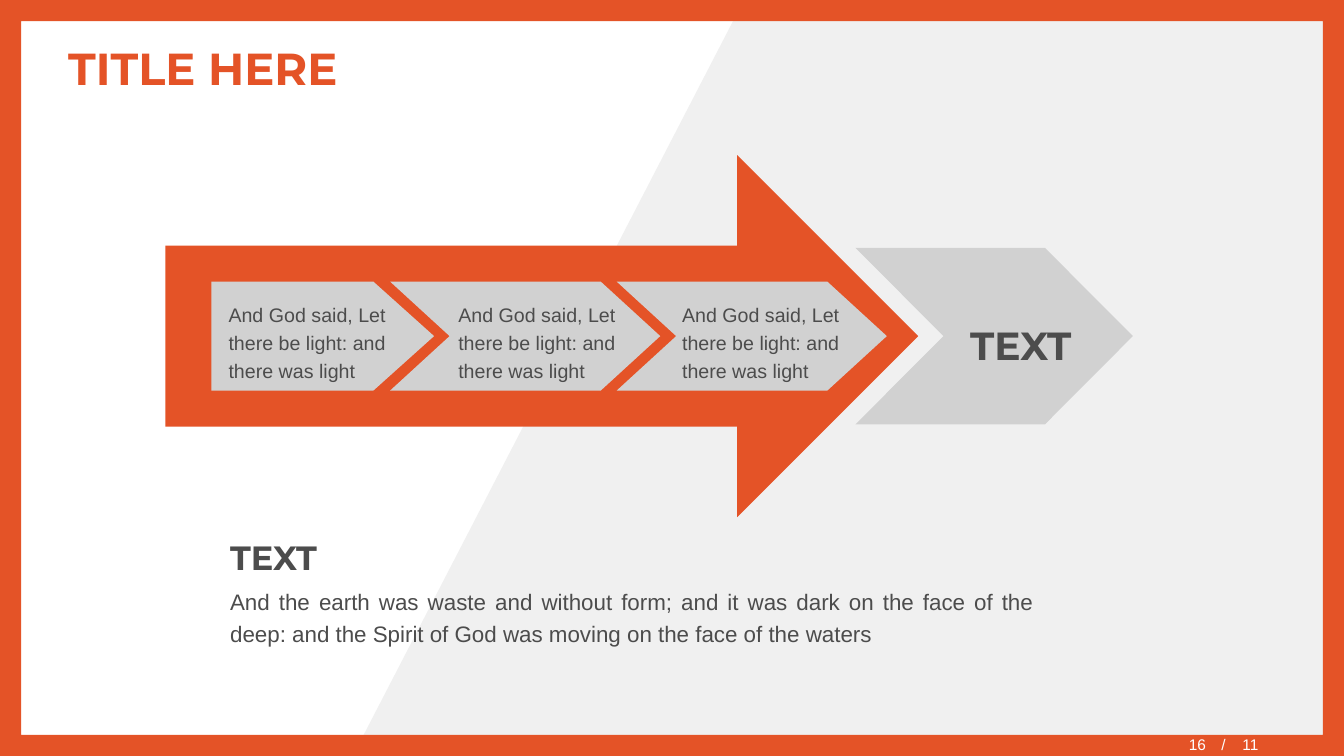
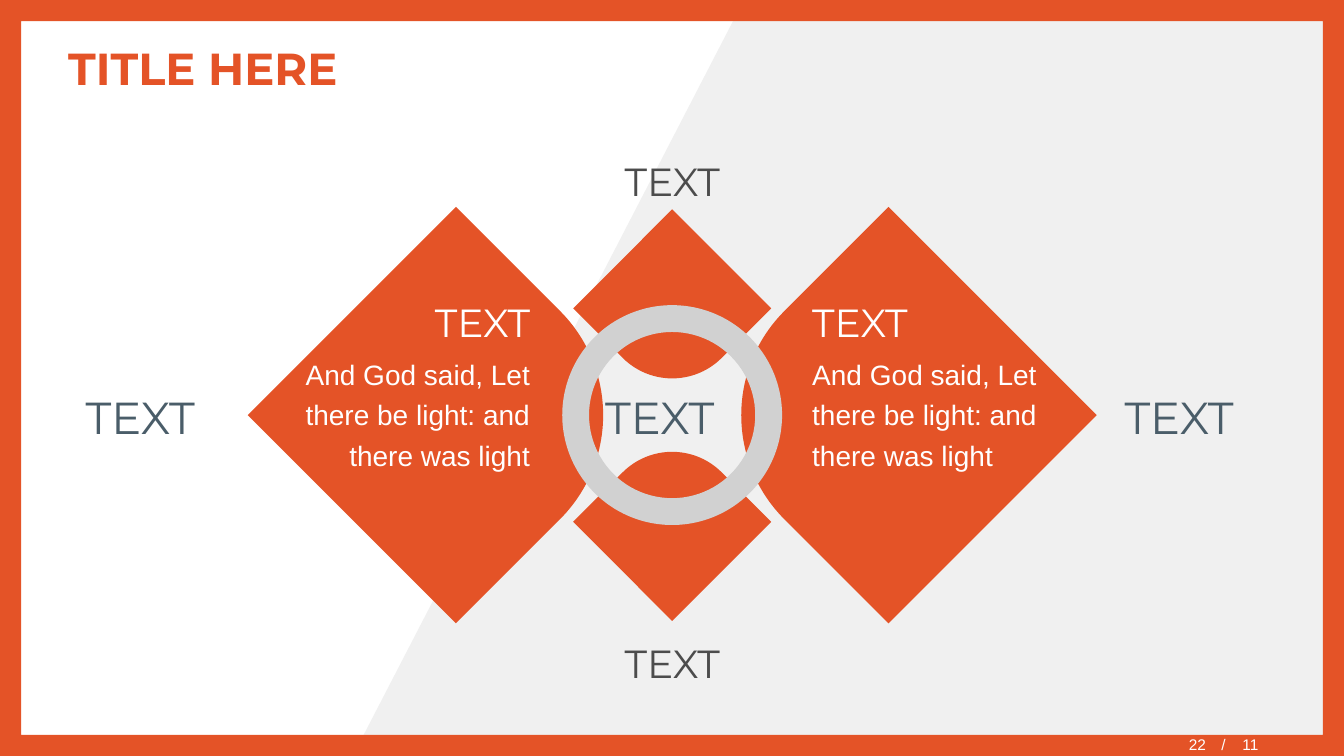
from dataclasses import dataclass

from lxml.etree import SubElement
from pptx import Presentation
from pptx.dml.color import RGBColor
from pptx.enum.shapes import MSO_SHAPE
from pptx.enum.text import MSO_ANCHOR, PP_ALIGN
from pptx.oxml.ns import qn
from pptx.util import Cm, Pt


@dataclass(frozen=True)
class Theme:
    # Colours
    orange: str = "E45327"
    pale: str = "F0F0F0"
    silver: str = "D1D1D1"
    dark: str = "4C4C4C"
    slate: str = "4A5D69"
    white: str = "FFFFFF"
    # Fonts
    display: str = "Montserrat"
    body: str = "Arial"
    # Type sizes in points
    title: int = 32
    label: int = 28
    heading: int = 24
    large: int = 20
    medium: int = 16
    small: int = 14
    footer: int = 11


THEME = Theme()
WIDTH, HEIGHT = 33.87, 19.05
VERSE = "And God said, Let there be light: and there was light"


@dataclass(frozen=True)
class Style:
    size: int
    color: str
    font: str = THEME.display
    bold: bool = False
    align: PP_ALIGN = PP_ALIGN.LEFT


# Elements
def paint(shape, color):
    shape.shadow.inherit = False
    shape.fill.solid()
    shape.fill.fore_color.rgb = RGBColor.from_string(color)
    shape.line.fill.background()


def add_figure(page, kind, left, top, width, height, color, adjust=None, turn=0):
    shape = page.shapes.add_shape(kind, Cm(left), Cm(top), Cm(width), Cm(height))
    paint(shape, color)
    if adjust is not None:
        shape.adjustments[0] = adjust
    shape.rotation = turn
    return shape


def add_square(page, kind, center_x, center_y, side, color, adjust, turn=0):
    return add_figure(page, kind, center_x - side / 2, center_y - side / 2,
                      side, side, color, adjust, turn)


def add_span(para, text, style):
    span = para.add_run()
    span.text = text
    span.font.name = style.font
    span.font.size = Pt(style.size)
    span.font.bold = style.bold
    span.font.color.rgb = RGBColor.from_string(style.color)


def add_box(page, left, top, width, height):
    box = page.shapes.add_textbox(Cm(left), Cm(top), Cm(width), Cm(height))
    box.text_frame.word_wrap = True
    return box


def add_text(page, left, top, width, height, *lines):
    """Each line is a pair of text and style, one paragraph each."""
    frame = add_box(page, left, top, width, height).text_frame
    for index, (text, style) in enumerate(lines):
        para = frame.add_paragraph() if index else frame.paragraphs[0]
        para.alignment = style.align
        para.line_spacing = 1.2
        para.space_before = Pt(2 if index else 0)
        para.space_after = Pt(2)
        add_span(para, text, style)


# Shared page parts
def add_backdrop(page):
    builder = page.shapes.build_freeform(Cm(18.75), 0)
    builder.add_line_segments([(Cm(WIDTH), 0), (Cm(WIDTH), Cm(HEIGHT)),
                               (Cm(8.89), Cm(HEIGHT))])
    paint(builder.convert_to_shape(), THEME.pale)
    add_figure(page, MSO_SHAPE.FRAME, 0, 0, WIDTH, HEIGHT, THEME.orange, 0.028)


def add_title(page, text):
    frame = add_box(page, 1.47, 0.71, 30.94, 2).text_frame
    frame.vertical_anchor = MSO_ANCHOR.MIDDLE
    add_span(frame.paragraphs[0], text,
             Style(THEME.title, THEME.orange, bold=True))


def add_page_number(page, number):
    frame = add_box(page, 29.96, 18.54, 3, 0.46).text_frame
    frame.margin_left = frame.margin_right = 0
    frame.margin_top = frame.margin_bottom = 0
    frame.vertical_anchor = MSO_ANCHOR.MIDDLE
    para = frame.paragraphs[0]
    tabs = SubElement(para._p.get_or_add_pPr(), qn("a:tabLst"))
    for stop in (0.82, 1.35):
        SubElement(tabs, qn("a:tab"), pos=str(Cm(stop)), algn="l")
    add_span(para, f"{number}\t/\t11",
             Style(THEME.footer, THEME.white, THEME.body))


def add_page(deck, title, number):
    page = deck.slides.add_slide(deck.slide_layouts[6])
    add_backdrop(page)
    add_title(page, title)
    add_page_number(page, number)
    return page


# Slides
def build_arrow_page(deck):
    page = add_page(deck, "TITLE HERE", 16)
    middle = 8.47

    def add_band(kind, left, width, height, color, adjust):
        add_figure(page, kind, left, middle - height / 2, width, height,
                   color, adjust)

    # Large arrow with three steps
    add_band(MSO_SHAPE.RIGHT_ARROW, 4.17, 18.97, 9.12, THEME.orange, 0.5)
    add_band(MSO_SHAPE.PENTAGON, 5.33, 5.61, 2.75, THEME.silver, 0.557)
    for step in range(2):
        add_band(MSO_SHAPE.CHEVRON, 9.83 + 5.71 * step, 6.81, 2.75,
                 THEME.silver, 0.546)
    step_style = Style(THEME.small, THEME.dark, THEME.body)
    for left in (5.51, 11.3, 16.94):
        add_text(page, left, 7.38, 4.57, 2.4, (VERSE, step_style))

    # Result
    add_band(MSO_SHAPE.CHEVRON, 21.56, 6.99, 4.45, THEME.silver, 0.498)
    add_text(page, 24, 7.73, 3.45, 1.7,
             ("TEXT", Style(THEME.label, THEME.dark, bold=True,
                            align=PP_ALIGN.CENTER)))

    # Summary
    add_text(page, 5.55, 13.2, 20.75, 3.6,
             ("TEXT", Style(THEME.heading, THEME.dark, bold=True)),
             ("And the earth was waste and without form; and it was dark on the "
              "face of the deep: and the Spirit of God was moving on the face of "
              "the waters",
              Style(THEME.medium, THEME.dark, THEME.body,
                    align=PP_ALIGN.JUSTIFY)))


def build_diamond_page(deck):
    page = add_page(deck, "TITLE HERE", 22)
    center_x, center_y = 16.94, 10.46

    # Diamonds, each with its round corner towards the centre
    for shift_x, shift_y, side, turn in ((-5.45, 0, 7.42, 45),
                                         (5.45, 0, 7.42, 225),
                                         (0, 2.69, 3.53, 315),
                                         (0, -2.69, 3.53, 135)):
        add_square(page, MSO_SHAPE.ROUND_1_RECTANGLE, center_x + shift_x,
                   center_y + shift_y, side, THEME.orange, 0.5, turn)
    add_square(page, MSO_SHAPE.DONUT, center_x, center_y, 5.54,
               THEME.silver, 0.122)

    # Text inside the large diamonds
    for left, align in ((7.11, PP_ALIGN.RIGHT), (20.22, PP_ALIGN.LEFT)):
        add_text(page, left, 7.15, 6.5, 4.9,
                 ("TEXT", Style(THEME.label, THEME.white, align=align)),
                 (VERSE, Style(THEME.large, THEME.white, THEME.body,
                               align=align)))

    # Labels above and below, then across the middle
    for top in (3.59, 15.76):
        add_text(page, center_x - 9, top, 18, 1.7,
                 ("TEXT", Style(THEME.label, THEME.dark,
                                align=PP_ALIGN.CENTER)))
    for column in range(3):
        add_text(page, 1.91 + 13.09 * column, 9.43, 3.86, 1.9,
                 ("TEXT", Style(THEME.title, THEME.slate)))


def main():
    deck = Presentation()
    deck.slide_width, deck.slide_height = Cm(WIDTH), Cm(HEIGHT)
    build_arrow_page(deck)
    build_diamond_page(deck)
    deck.save("out.pptx")


if __name__ == "__main__":
    main()
